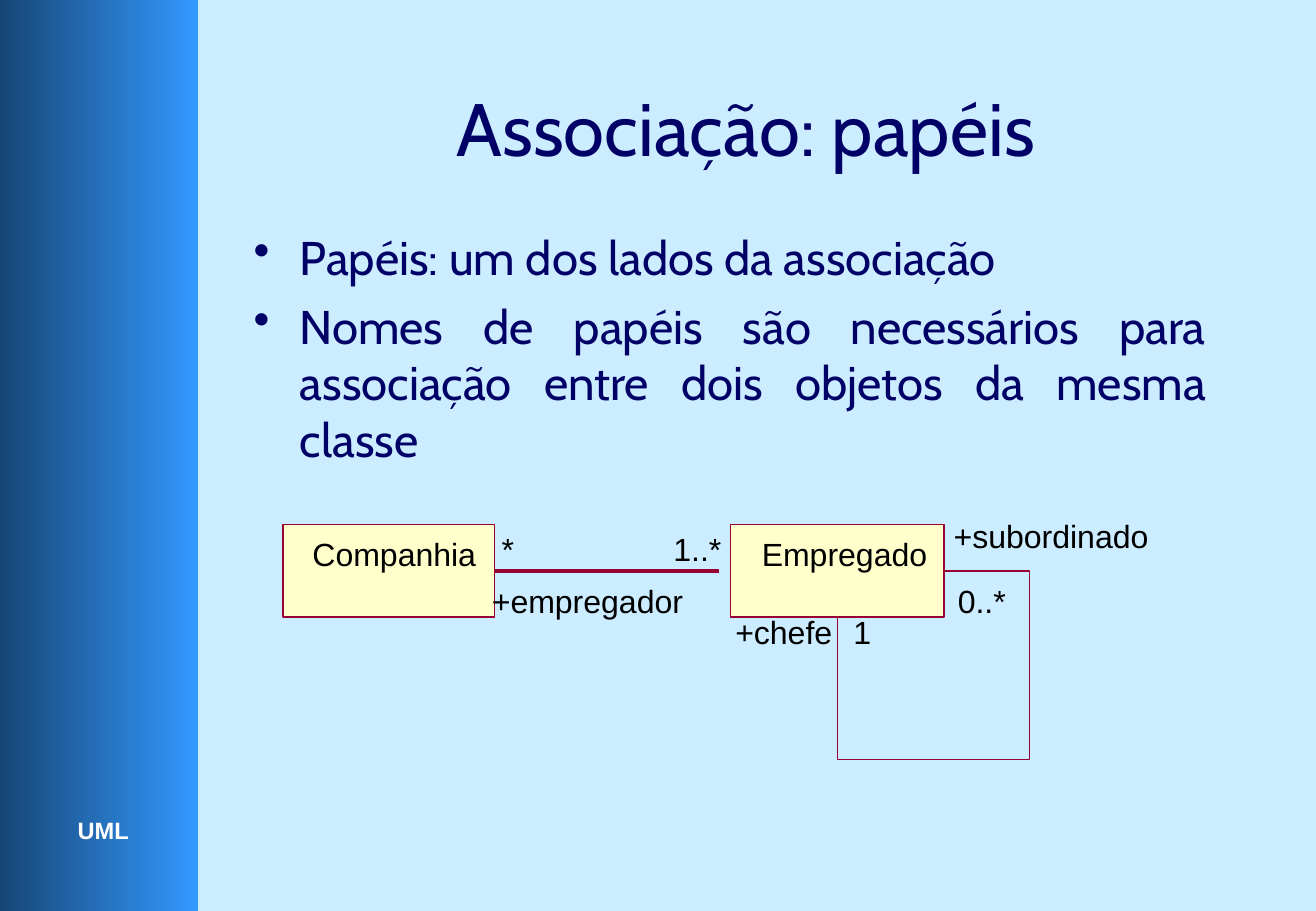
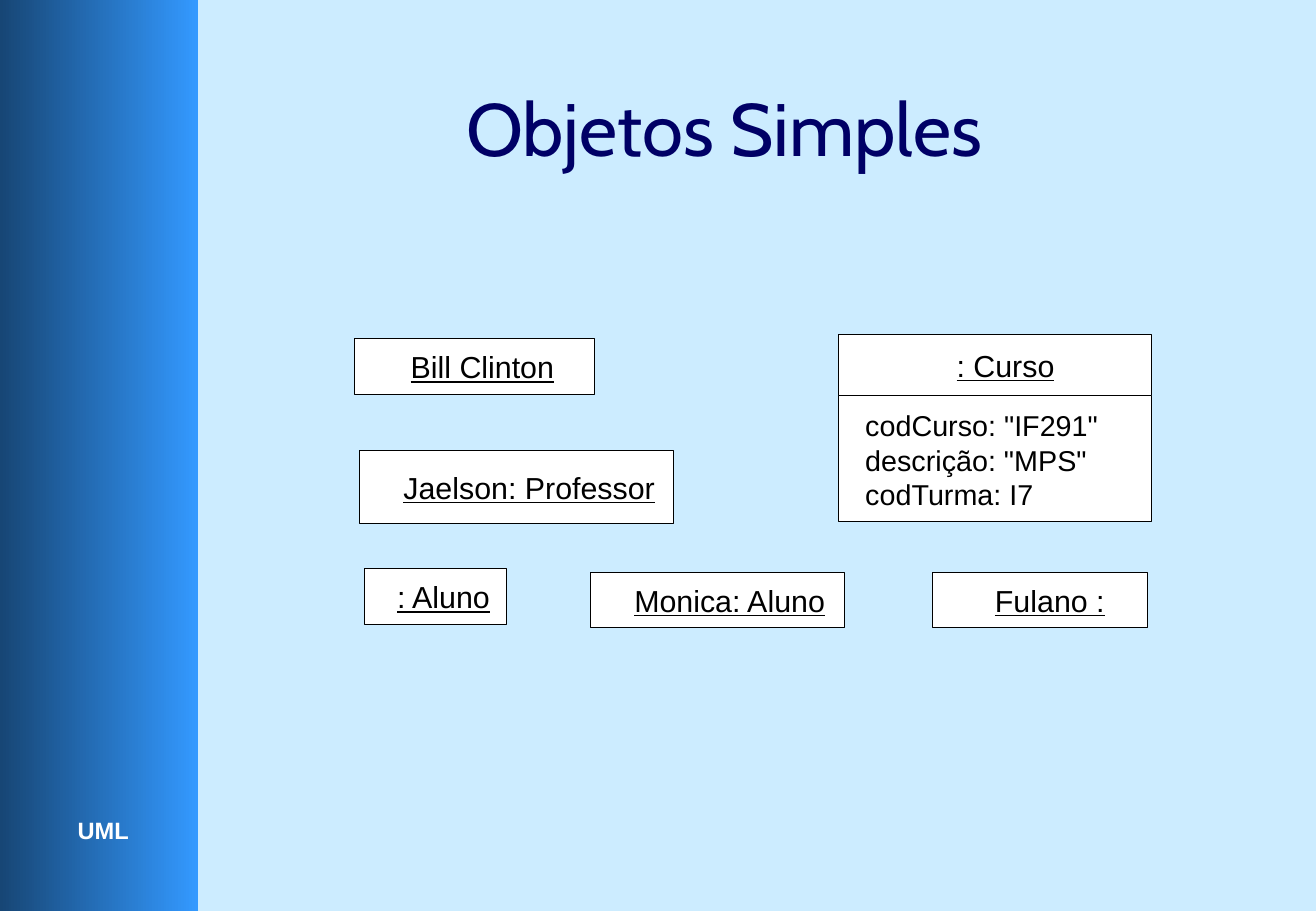
from dataclasses import dataclass

from lxml.etree import SubElement
from pptx import Presentation
from pptx.dml.color import RGBColor
from pptx.enum.shapes import MSO_CONNECTOR, MSO_SHAPE
from pptx.enum.text import MSO_ANCHOR, MSO_AUTO_SIZE, PP_ALIGN
from pptx.oxml.ns import qn
from pptx.util import Inches, Pt

CELL = Inches(0.1)
COLUMNS, ROWS = 108.3, 75
NAVY, SKY, CREAM, WINE = "000066", "CCECFF", "FFFFCC", "990033"
BLACK, WHITE = "000000", "FFFFFF"
BAND_DARK, BAND_LIGHT = "174675", "3399FF"
HEADING_FONT, LABEL_FONT = "Cabin", "Arial"
CENTER, LEFT, JUSTIFY = PP_ALIGN.CENTER, PP_ALIGN.LEFT, PP_ALIGN.JUSTIFY
TOP, MIDDLE = MSO_ANCHOR.TOP, MSO_ANCHOR.MIDDLE


@dataclass
class Box:
    left: float
    top: float
    width: float
    height: float

    def inner(self, left, top, width, height):
        return Box(self.left + left, self.top + top, width, height)

    def point(self, column, row):
        return cells(self.left + column), cells(self.top + row)

    def emu(self):
        return [cells(n) for n in (self.left, self.top, self.width, self.height)]


def cells(count):
    return round(count * CELL)


def color(value):
    return RGBColor.from_string(value)


def add_bullet(paragraph, bullet_color, indent):
    properties = paragraph._p.get_or_add_pPr()
    properties.set("marL", str(cells(indent)))
    properties.set("indent", str(-cells(indent)))
    bullet = SubElement(properties, qn("a:buClr"))
    SubElement(bullet, qn("a:srgbClr"), val=bullet_color)
    SubElement(properties, qn("a:buChar"), char="•")


def write_text(shape, *lines, size, font=LABEL_FONT, ink=BLACK, bold=False,
               underline=False, align=CENTER, anchor=TOP, wrap=False,
               insets=(0, 0, 0, 0), space=0, bullet_indent=None):
    frame = shape.text_frame
    frame.word_wrap = wrap
    frame.auto_size = MSO_AUTO_SIZE.NONE
    frame.vertical_anchor = anchor
    (frame.margin_left, frame.margin_top,
     frame.margin_right, frame.margin_bottom) = map(cells, insets)
    for index, line in enumerate(lines):
        paragraph = frame.add_paragraph() if index else frame.paragraphs[0]
        if bullet_indent:
            add_bullet(paragraph, ink, bullet_indent)
        paragraph.alignment = align
        if index and space:
            paragraph.space_before = Pt(space)
        run = paragraph.add_run()
        run.text = line
        run.font.name, run.font.size = font, Pt(size)
        run.font.bold, run.font.underline = bold, underline
        run.font.color.rgb = color(ink)


def add_text(slide, box, *lines, **style):
    shape = slide.shapes.add_textbox(*box.emu())
    write_text(shape, *lines, **style)
    return shape


def set_line(shape, line_color, width):
    shape.line.color.rgb = color(line_color)
    shape.line.width = Pt(width)


def add_box(slide, box, *lines, fill, line, width, **style):
    shape = slide.shapes.add_shape(MSO_SHAPE.RECTANGLE, *box.emu())
    shape.shadow.inherit = False
    shape.fill.solid()
    shape.fill.fore_color.rgb = color(fill)
    set_line(shape, line, width)
    write_text(shape, *lines, **style)
    return shape


def decorate_master(presentation, slide):
    master = presentation.slide_master
    master.background.fill.solid()
    master.background.fill.fore_color.rgb = color(SKY)
    band = slide.shapes.add_shape(MSO_SHAPE.RECTANGLE, *Box(0, 0, 16.3, ROWS).emu())
    band.shadow.inherit = False
    band.line.fill.background()
    band.fill.gradient()
    band.fill.gradient_angle = 0
    for stop, stop_color in zip(band.fill.gradient_stops, (BAND_DARK, BAND_LIGHT)):
        stop.color.rgb = color(stop_color)
    footer = add_text(slide, Box(5.4, 66.7, 6.2, 3.4), "UML", size=14,
                      ink=WHITE, bold=True, insets=(1, 0.5, 1, 0.5))
    for index, shape in enumerate((band, footer), start=2):
        master.shapes.element.insert(index, shape.element)


def add_slide(presentation):
    return presentation.slides.add_slide(presentation.slide_layouts[5])


def place_title(slide, text, width):
    title = slide.shapes.title
    title.left, title.top, title.width, title.height = Box(19, 4.2, width, 12.5).emu()
    write_text(title, text, size=44, font=HEADING_FONT, ink=NAVY,
               anchor=MIDDLE, wrap=True, insets=(1, 0.5, 1, 0.5))


def place_bullets(slide, box, *lines):
    add_text(slide, box, *lines, size=28, font=HEADING_FONT, ink=NAVY,
             align=JUSTIFY, wrap=True, insets=(1, 0.5, 1, 0.5), space=7,
             bullet_indent=3.8)


def place_association(slide, region):
    company, employee = [
        add_box(slide, region.inner(left, 0.7, width, 7.6), name, fill=CREAM,
                line=WINE, width=0, size=19, insets=(inset, 0.8, 0, 0))
        for name, left, width, inset in (
            ("Companhia", 0, 17.4, 0.9), ("Empregado", 36.8, 17.6, 1.2))]

    link = slide.shapes.add_connector(
        MSO_CONNECTOR.STRAIGHT, *region.point(17.4, 4.5), *region.point(35.9, 4.5))
    link.begin_connect(company, 3)
    set_line(link, WINE, 0)
    SubElement(link._element.spPr, qn("a:effectLst"))

    corners = [(45.6, 8.3), (45.6, 20), (61.4, 20), (61.4, 4.5), (54.4, 4.5)]
    start, *rest = [region.point(*corner) for corner in corners]
    builder = slide.shapes.build_freeform(*start)
    builder.add_line_segments(rest, close=False)
    loop = builder.convert_to_shape()
    loop.shadow.inherit = False
    loop.fill.background()
    set_line(loop, WINE, 0)

    for label, left, top, width in (
            ("*", 18, 1.1, 1), ("1..*", 32.1, 1.1, 4),
            ("+empregador", 17.2, 5.4, 15.7), ("+chefe", 37.2, 7.9, 8),
            ("1", 46.9, 7.9, 1.5), ("0..*", 55.5, 5.4, 4),
            ("+subordinado", 55.2, 0, 16)):
        add_text(slide, region.inner(left, top, width, 3.2), label, size=19)


def place_objects(slide, region):
    frame = dict(fill=WHITE, line=BLACK, width=0.5)
    add_box(slide, region.inner(39.8, 5.1, 25.8, 10.3), 'codCurso: "IF291"',
            'descrição: "MPS"', "codTurma: I7", size=17, align=LEFT, wrap=True,
            insets=(2.2, 1, 0, 0), **frame)
    for name, left, top, width, height, inset in (
            (": Curso", 39.8, 0, 25.8, 5.1, 1.7),
            ("Bill Clinton", 0, 0.4, 19.7, 4.6, 1.3),
            ("Jaelson: Professor", 0.4, 9.6, 25.8, 6, 2.1),
            (": Aluno", 0.8, 19.3, 11.7, 4.6, 1.3),
            ("Monica: Aluno", 19.4, 19.6, 20.9, 4.6, 2),
            ("Fulano :", 47.5, 19.6, 17.7, 4.6, 1.7)):
        add_box(slide, region.inner(left, top, width, height), name, size=18,
                underline=True, anchor=MIDDLE, insets=(inset, 0, 0, 0), **frame)


def main():
    presentation = Presentation()
    presentation.slide_width = cells(COLUMNS)
    presentation.slide_height = cells(ROWS)

    roles = add_slide(presentation)
    decorate_master(presentation, roles)
    place_title(roles, "Associação: papéis", 84.8)
    place_bullets(
        roles, Box(19.9, 18.3, 80.3, 39.2), "Papéis: um dos lados da associação",
        "Nomes de papéis são necessários para associação entre dois objetos da mesma classe")
    place_association(roles, Box(23.3, 42.5, 71.2, 20))

    objects = add_slide(presentation)
    place_title(objects, "Objetos Simples", 81.2)
    place_objects(objects, Box(29.2, 27.5, 65.6, 24.2))

    presentation.save("out.pptx")


if __name__ == "__main__":
    main()
